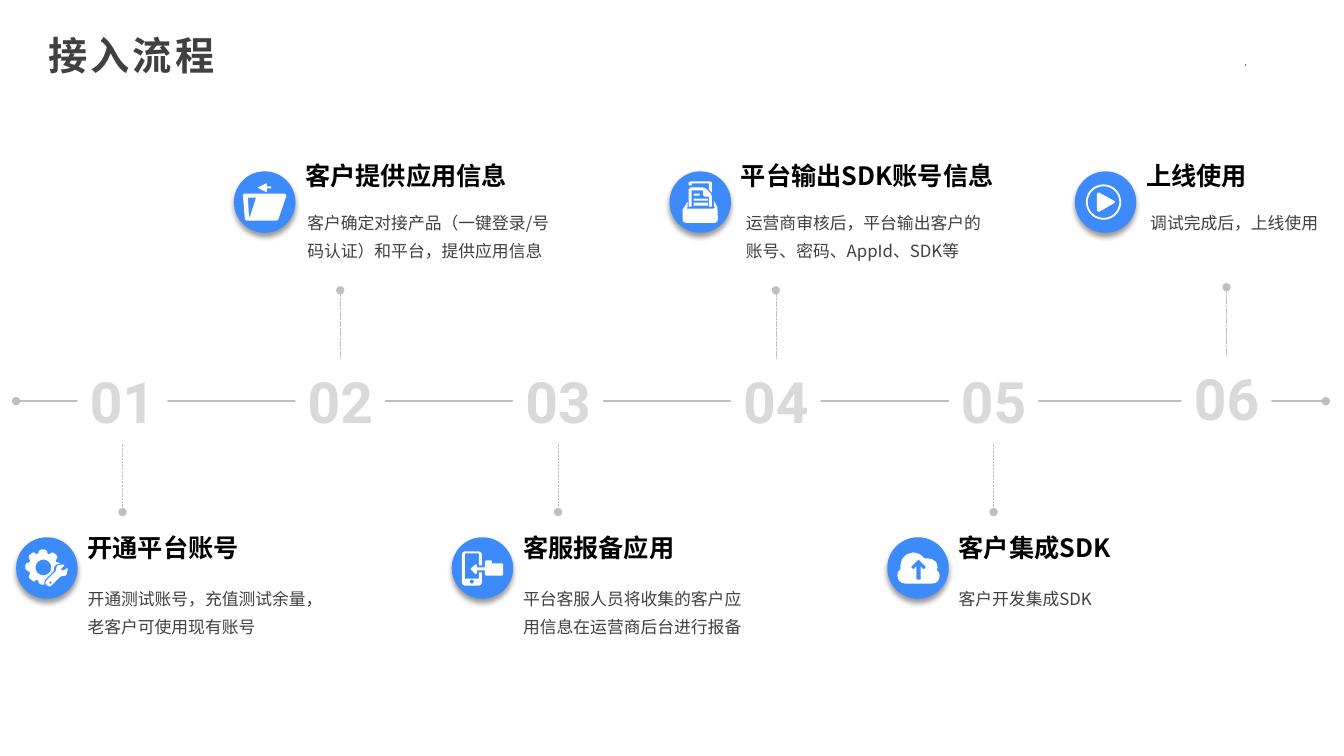
from dataclasses import dataclass
from math import cos, pi, sin

from lxml.etree import SubElement as sub
from pptx import Presentation
from pptx.dml.color import RGBColor as Rgb
from pptx.enum.dml import MSO_LINE as Dash
from pptx.enum.shapes import MSO_CONNECTOR as Conn, MSO_SHAPE as Kind
from pptx.enum.text import MSO_ANCHOR as Anchor, PP_ALIGN as Align
from pptx.oxml.ns import qn
from pptx.util import Pt

SCALE = 9144
ICON = SCALE / 10


@dataclass
class Theme:
    ink: str = "404040"
    head: str = "000000"
    num: str = "D9D9D9"
    rule: str = "BFBFBF"
    disc: str = "3D8BFA"
    white: str = "FFFFFF"
    mark: str = "4472C4"
    sans: str = "Noto Sans CJK SC"
    digit: str = "Roboto"
    title: float = 28
    big: float = 40.7
    mid: float = 18
    small: float = 12


@dataclass
class Step:
    head: str
    body: str
    icon: list
    num: tuple
    left: int
    shift: int = 0
    wide: int = 260
    span: int = 260
    up: bool = False


T = Theme()


def px(*vals):
    return [round(v * SCALE) for v in vals]


def ring(x, y, r, n=40):
    return [(round(x + r * cos(2 * pi * k / n)), round(y + r * sin(2 * pi * k / n))) for k in range(n)]


def bar(x, y, right, low):
    return [(x, y), (right, y), (right, low), (x, low)]


GEAR = [
    [(250, 120), (280, 120), (305, 135), (310, 160), (330, 170), (340, 160), (360, 150), (380, 160),
     (405, 185), (410, 205), (390, 230), (400, 250), (415, 250), (440, 260), (400, 270), (380, 290),
     (370, 340), (290, 420), (280, 445), (280, 470), (250, 470), (225, 455), (220, 430), (200, 420),
     (180, 440), (160, 430), (130, 405), (125, 385), (140, 360), (130, 340), (115, 335), (93, 315),
     (90, 280), (105, 255), (130, 250), (140, 230), (125, 205), (130, 180), (160, 155), (180, 150),
     (200, 170), (220, 160), (225, 135)],
    ring(270, 300, 78),
    [(460, 270), (475, 275), (475, 285), (450, 310), (450, 325), (470, 330), (500, 310), (510, 310),
     (510, 330), (500, 370), (490, 380), (440, 390), (350, 480), (330, 490), (310, 480), (290, 455),
     (300, 430), (390, 340), (400, 300), (410, 280)],
    ring(340, 450, 12),
]
FOLDER = [
    [(110, 220), (500, 220), (515, 228), (520, 245), (440, 480), (420, 490), (130, 490), (110, 480),
     (90, 240), (97, 225)],
    [(140, 260), (150, 450), (160, 450), (220, 260)],
    [(320, 120), (330, 125), (325, 150), (365, 150), (370, 155), (370, 170), (325, 170), (330, 200),
     (320, 205), (240, 165), (240, 160)],
]
PHONE = [
    [(130, 140), (270, 140), (290, 150), (300, 170), (300, 280), (270, 280), (270, 160), (130, 160),
     (130, 410), (270, 410), (270, 350), (300, 350), (300, 450), (290, 470), (270, 480), (130, 480),
     (110, 470), (100, 450), (100, 170), (110, 150)],
    ring(200, 440, 20),
    [(340, 230), (390, 230), (400, 240), (400, 260), (500, 260), (510, 270), (510, 370), (500, 380),
     (340, 380), (330, 370), (330, 330), (250, 330), (250, 360), (235, 365), (190, 320), (190, 310),
     (235, 270), (250, 275), (250, 300), (330, 300), (330, 240)],
]
TRAY = [
    [(440, 290), (475, 355), (480, 480), (470, 503), (450, 510), (165, 510), (140, 503), (130, 480),
     (130, 380), (180, 300), (180, 350), (170, 370), (440, 370), (450, 360), (440, 340)],
    bar(240, 310, 380, 340),
    bar(240, 270, 380, 290),
    bar(240, 220, 300, 240),
    [(210, 160), (330, 160), (360, 170), (410, 220), (420, 250), (420, 350), (390, 350), (390, 250),
     (350, 250), (330, 230), (330, 190), (220, 190), (220, 350), (190, 350), (190, 180)],
    [(210, 100), (400, 100), (420, 110), (420, 210), (390, 180), (390, 120), (220, 120), (220, 140),
     (190, 140), (190, 110)],
]
CLOUD = [
    [(490, 330), (500, 300), (485, 245), (440, 215), (400, 210), (370, 210), (320, 165), (260, 150),
     (190, 170), (145, 220), (130, 280), (130, 320), (105, 345), (100, 380), (115, 430), (145, 453),
     (180, 460), (440, 460), (480, 453), (510, 425), (520, 380), (510, 345)],
    [(310, 220), (380, 290), (380, 300), (360, 320), (330, 290), (330, 420), (290, 420), (290, 290),
     (260, 320), (240, 300), (240, 290)],
]
PLAY = [
    ring(285, 305, 175),
    ring(285, 305, 157),
    [(240, 210), (395, 295), (395, 312), (245, 400), (228, 398), (220, 385), (220, 225), (228, 212)],
]

STEPS = [
    Step("开通平台账号", "开通测试账号，充值测试余量，老客户可使用现有账号", GEAR, (77, 356), 77, span=243),
    Step("客户提供应用信息", "客户确定对接产品（一键登录/号码认证）和平台，提供应用信息", FOLDER,
         (293, 356), 293, shift=2, span=263, up=True),
    Step("客服报备应用", "平台客服人员将收集的客户应用信息在运营商后台进行报备", PHONE, (509, 356), 509, span=243),
    Step("平台输出SDK账号信息", "运营商审核后，平台输出客户的账号、密码、AppId、SDK等", TRAY,
         (725, 356), 725, shift=5, wide=281, up=True),
    Step("客户集成SDK", "客户开发集成SDK", CLOUD, (941, 356), 941),
    Step("上线使用", "调试完成后，上线使用", PLAY, (1172, 353), 1127, shift=4, wide=206, span=202, up=True),
]


def style(frame, size, color, face, bold=False, gap=None):
    para = frame.paragraphs[0]
    if gap:
        para.line_spacing = gap
    for run in para.runs:
        font = run.font
        font.size, font.bold, font.name = Pt(size), bold, face
        font.color.rgb = Rgb.from_string(color)
        sub(font._element, qn("a:ea"), typeface=face)
    return para


def label(slide, text, box, anchor, *look, **more):
    frame = slide.shapes.add_textbox(*px(*box)).text_frame
    frame.word_wrap = True
    frame.vertical_anchor = anchor
    frame.text = text
    style(frame, *look, **more)


def paint(shape, color):
    shape.shadow.inherit = False
    shape.fill.solid()
    shape.fill.fore_color.rgb = Rgb.from_string(color)
    shape.line.fill.background()


def wire(slide, ends, color, width, tips=(), dash=None):
    line = slide.shapes.add_connector(Conn.STRAIGHT, *ends)
    line.line.color.rgb = Rgb.from_string(color)
    line.line.width = Pt(width)
    if dash:
        line.line.dash_style = dash
    for tip in tips:
        sub(line.line._get_or_add_ln(), qn(f"a:{tip}"), type="oval")
    sub(line._element.spPr, qn("a:effectLst"))
    return line


def badge(slide, icon, x, y):
    disc = slide.shapes.add_shape(Kind.OVAL, *px(x, y, 61, 61))
    paint(disc, T.disc)
    glow = sub(disc._element.spPr.find(qn("a:effectLst")), qn("a:outerShdw"), blurRad=str(Pt(4)),
               dist=str(Pt(3)), dir="5400000", algn="t", rotWithShape="0")
    sub(sub(glow, qn("a:srgbClr"), val="000000"), qn("a:alpha"), val="40000")
    pen = slide.shapes.build_freeform(*icon[0][0], scale=ICON)
    for i, loop in enumerate(icon):
        if i:
            pen.move_to(*loop[0])
        pen.add_line_segments(loop[1:], close=True)
    paint(pen.convert_to_shape(*px(x, y)), T.white)


def count(slide, text, x, y, up):
    num = slide.shapes.add_shape(Kind.RECTANGLE, *px(x, y, 89, 84))
    paint(num, T.white)
    frame = num.text_frame
    frame.word_wrap = False
    frame.vertical_anchor = Anchor.MIDDLE
    frame.text = text
    style(frame, T.big, T.num, T.digit, True).alignment = Align.CENTER
    mid = num.left + num.width // 2
    start, end = px(y, y - 68) if up else px(y + 84, y + 152)
    stem = wire(slide, (mid, start, mid, end), T.rule, 0.25, ("tailEnd",), Dash.SQUARE_DOT)
    stem.begin_connect(num, 0 if up else 2)


def stage(slide, step, text):
    top, drop, fall = (150, 20, 48) if step.up else (519, 14, 52)
    count(slide, text, *step.num, step.up)
    badge(slide, step.icon, step.left - 61, top + drop)
    label(slide, step.head, (step.left, top, step.wide, 48), Anchor.MIDDLE, T.mid, T.head, T.sans, True)
    label(slide, step.body, (step.left + step.shift, top + fall, step.span, 73), Anchor.TOP,
          T.small, T.ink, T.sans, gap=1.4)


def banner(slide, text, box):
    title = slide.shapes.title
    title.left, title.top, title.width, title.height = px(*box)
    frame = title.text_frame
    frame.vertical_anchor = Anchor.MIDDLE
    frame.text = text
    para = style(frame, T.title, T.ink, T.sans, True, 0.9)
    para.alignment = Align.LEFT
    para.runs[0].font._element.set("spc", "220")


def main():
    deck = Presentation()
    deck.slide_width, deck.slide_height = px(1333, 750)
    slide = deck.slides.add_slide(deck.slide_layouts[5])
    banner(slide, "接入流程", (38, 24, 726, 66))
    wire(slide, px(1235, 65, 1235, 64), T.mark, 0.5)
    wire(slide, px(16, 398, 1315, 398), T.rule, 1, ("headEnd", "tailEnd"))
    for i, step in enumerate(STEPS, 1):
        stage(slide, step, f"{i:02}")
    deck.save("out.pptx")


if __name__ == "__main__":
    main()
